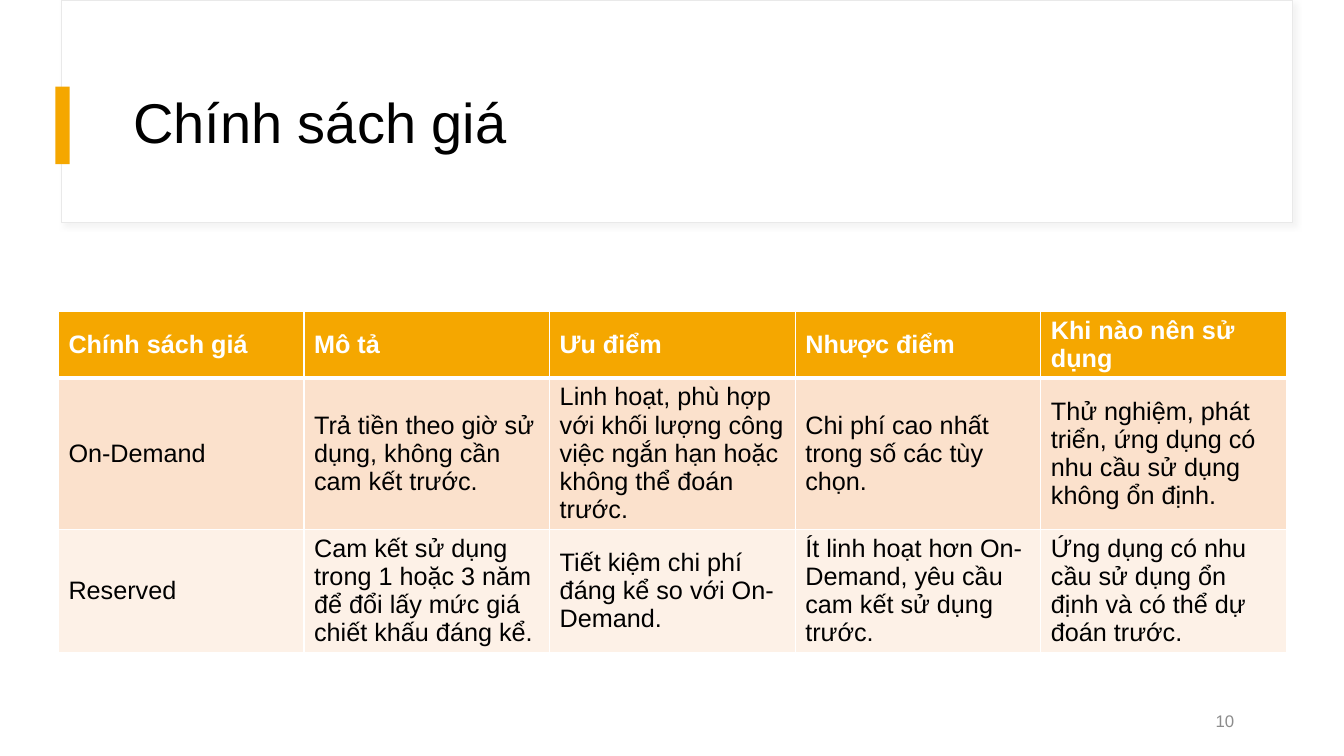
from pptx import Presentation
from pptx.dml.color import RGBColor
from pptx.enum.shapes import MSO_SHAPE as Shape
from pptx.enum.text import MSO_ANCHOR as Anchor, MSO_AUTO_SIZE as AutoSize, PP_ALIGN as Align
from pptx.oxml import parse_xml
from pptx.oxml.ns import nsdecls, qn
from pptx.util import Inches, Pt

WHITE, ORANGE, BLACK = "FFFFFF", "F5A700", "000000"
PEACH, CREAM = "FBE1CC", "FDF1E7"
GREY, FRAME_GREY, SHADOW_GREY = "8C8C8C", "E9E9E9", "D9D9D9"

PRICING = [
    ["Chính sách giá", "Mô tả", "Ưu điểm", "Nhược điểm", "Khi nào nên sử dụng"],
    ["On-Demand",
     "Trả tiền theo giờ sử dụng, không cần cam kết trước.",
     "Linh hoạt, phù hợp với khối lượng công việc ngắn hạn hoặc không thể đoán trước.",
     "Chi phí cao nhất trong số các tùy chọn.",
     "Thử nghiệm, phát triển, ứng dụng có nhu cầu sử dụng không ổn định."],
    ["Reserved",
     "Cam kết sử dụng trong 1 hoặc 3 năm để đổi lấy mức giá chiết khấu đáng kể.",
     "Tiết kiệm chi phí đáng kể so với On-Demand.",
     "Ít linh hoạt hơn On-Demand, yêu cầu cam kết sử dụng trước.",
     "Ứng dụng có nhu cầu sử dụng ổn định và có thể dự đoán trước."],
]
ROW_HEIGHTS = [0.66, 1.5, 1.22]
ROW_FILLS = [ORANGE, PEACH, CREAM]


def color(value):
    return RGBColor.from_string(value)


def apply(target, values):
    """Set every attribute named in values on target."""
    for name, value in values.items():
        setattr(target, name, value)


class SlideBuilder:
    font = "Arial"

    def __init__(self, page):
        self.page = page

    def fill_text(self, frame, text, size, ink, bold=False, **paragraph_format):
        para = frame.paragraphs[0]
        apply(para, paragraph_format)
        span = para.add_run()
        span.text = text
        apply(span.font, {"name": self.font, "size": Pt(size), "bold": bold})
        span.font.color.rgb = color(ink)

    def rectangle(self, left, top, width, height, fill, line=None):
        box = self.page.shapes.add_shape(
            Shape.RECTANGLE, *map(Inches, (left, top, width, height)))
        box.shadow.inherit = False
        box.fill.solid()
        box.fill.fore_color.rgb = color(fill)
        if line:
            box.line.color.rgb = color(line)
            box.line.width = Pt(0.75)
        else:
            box.line.fill.background()
        return box

    def soft_shadow(self, box):
        effects = box._element.spPr.find(qn("a:effectLst"))
        effects.append(parse_xml(
            f'<a:outerShdw {nsdecls("a")} blurRad="{Pt(4)}" dist="{Pt(3)}" '
            f'dir="{45 * 60000}" algn="tl" rotWithShape="0">'
            f'<a:srgbClr val="{SHADOW_GREY}"><a:alpha val="30000"/></a:srgbClr>'
            '</a:outerShdw>'))

    def title(self, text, left, top, width, height):
        box = self.page.shapes.title
        apply(box, {"left": Inches(left), "top": Inches(top),
                    "width": Inches(width), "height": Inches(height)})
        apply(box.text_frame, {"word_wrap": True, "auto_size": AutoSize.NONE,
                               "vertical_anchor": Anchor.MIDDLE})
        self.fill_text(box.text_frame, text, 40, BLACK,
                       alignment=Align.LEFT, line_spacing=0.9)
        self.page.shapes._spTree.append(box._element)  # bring in front of the frame

    def text(self, text, left, top, width, height, size, ink, alignment):
        box = self.page.shapes.add_textbox(*map(Inches, (left, top, width, height)))
        apply(box.text_frame, {"word_wrap": True, "vertical_anchor": Anchor.MIDDLE})
        self.fill_text(box.text_frame, text, size, ink, alignment=alignment)

    def borders(self, cell, top, bottom):
        properties = cell._tc.get_or_add_tcPr()
        widths = {"lnL": 1, "lnR": 1, "lnT": top, "lnB": bottom}
        for place, (side, width) in enumerate(widths.items()):
            properties.insert(place, parse_xml(
                f'<a:{side} {nsdecls("a")} w="{Pt(width)}"><a:solidFill>'
                f'<a:srgbClr val="{WHITE}"/></a:solidFill></a:{side}>'))

    def table(self, rows, left, top, width, heights, fills):
        table = self.page.shapes.add_table(
            len(rows), len(rows[0]),
            *map(Inches, (left, top, width, sum(heights)))).table
        for row, height in zip(table.rows, heights):
            row.height = Inches(height)
        for r, texts in enumerate(rows):
            header = r == 0
            for c, text in enumerate(texts):
                cell = table.cell(r, c)
                cell.vertical_anchor = Anchor.MIDDLE
                cell.fill.solid()
                cell.fill.fore_color.rgb = color(fills[r])
                self.borders(cell, top=3 if r == 1 else 1, bottom=3 if header else 1)
                self.fill_text(cell.text_frame, text, 18, WHITE if header else BLACK, header)


def main():
    deck = Presentation()
    apply(deck, {"slide_width": Inches(13.33), "slide_height": Inches(7.5)})
    builder = SlideBuilder(deck.slides.add_slide(deck.slide_layouts[5]))
    frame = builder.rectangle(0.61, 0, 12.21, 2.21, WHITE, FRAME_GREY)
    builder.soft_shadow(frame)
    builder.rectangle(0.55, 0.86, 0.14, 0.77, ORANGE)
    builder.title("Chính sách giá", 1.22, 0.6, 11.12, 1.29)
    builder.table(PRICING, 0.58, 3.09, 12.18, ROW_HEIGHTS, ROW_FILLS)
    builder.text("10", 9.34, 6.95, 3, 0.4, 12, GREY, Align.RIGHT)
    deck.save("out.pptx")


if __name__ == "__main__":
    main()
